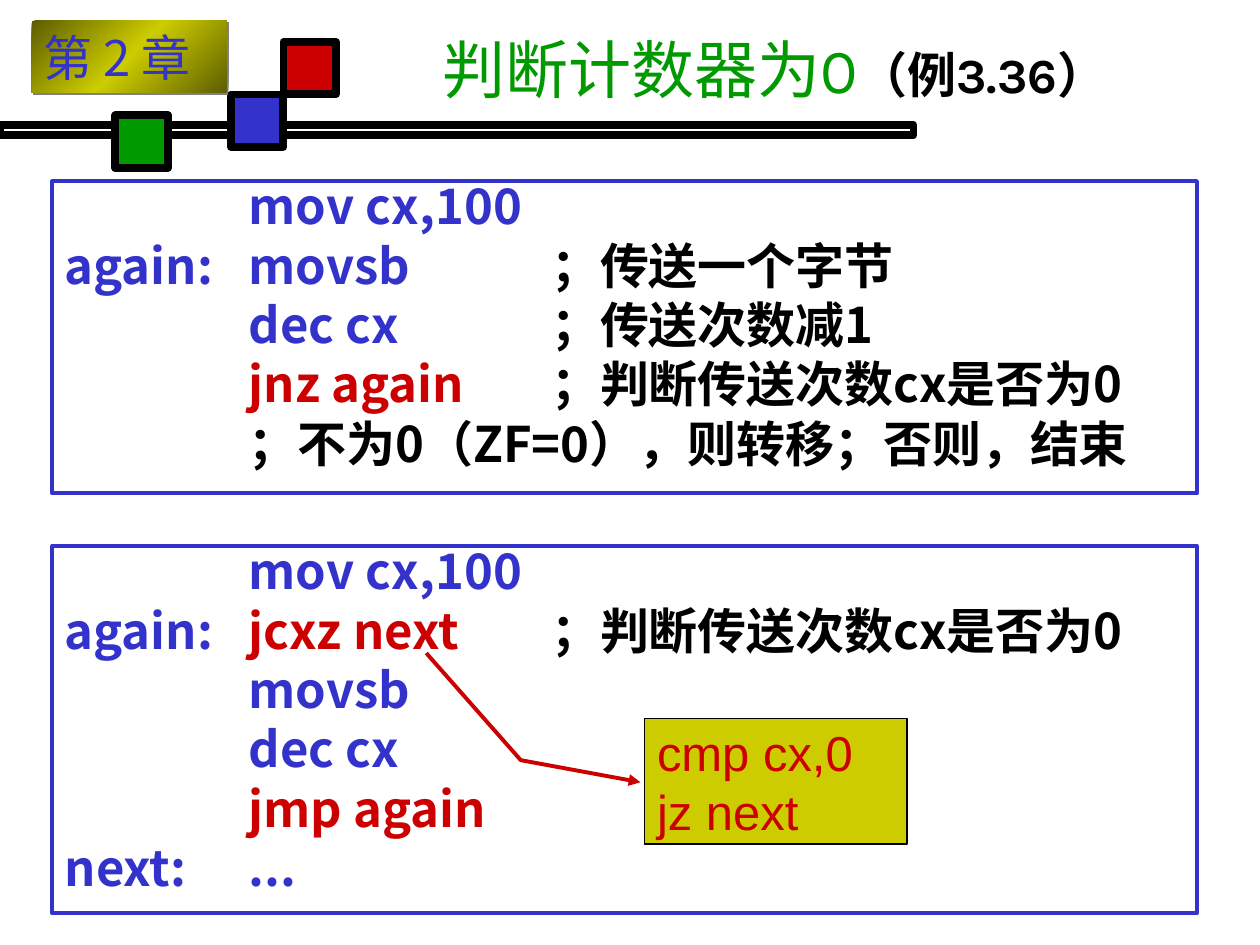
from lxml.etree import SubElement
from pptx import Presentation
from pptx.dml.color import RGBColor
from pptx.enum.shapes import MSO_SHAPE as Preset
from pptx.enum.text import MSO_ANCHOR as Anchor, PP_ALIGN as Align
from pptx.oxml import parse_xml
from pptx.oxml.ns import nsdecls, qn
from pptx.util import Inches, Pt

BLUE, RED, GREEN, YELLOW, BLACK = "3333CC", "CC0000", "009900", "CCCC00", "000000"
CODE_FONT = "Noto Sans CJK SC"
CODE_TABS = (1.46, 3.86)
CHECK_ZERO = ("；判断传送次数cx是否为0", BLACK)
LOOP_WITH_JNZ = [
    [("\tmov cx,100", BLUE)],
    [("again:\tmovsb\t", BLUE), ("；传送一个字节", BLACK)],
    [("\tdec cx\t", BLUE), ("；传送次数减1", BLACK)],
    [("\tjnz again\t", RED), CHECK_ZERO],
    [("\t；不为0（ZF=0），则转移；否则，结束", BLACK)],
]
LOOP_WITH_JCXZ = [
    [("\tmov cx,100", BLUE)],
    [("again:\t", BLUE), ("jcxz next\t", RED), CHECK_ZERO],
    [("\tmovsb", BLUE)],
    [("\tdec cx", BLUE)],
    [("\tjmp again", RED)],
    [("next:\t...", BLUE)],
]


def color(value):
    """Turn a hex string into a colour."""
    return RGBColor.from_string(value)


def add_run(paragraph, text, hue=BLACK, size=28, font=CODE_FONT, bold=False):
    """Add formatted text to a paragraph."""
    run = paragraph.add_run()
    run.text = text
    run.font.size, run.font.name, run.font.bold = Pt(size), font, bold
    run.font.color.rgb = color(hue)
    east_asian = CODE_FONT if font in ("Karla", "Arial") else font
    SubElement(run._r.get_or_add_rPr(), qn("a:ea"), typeface=east_asian)


def add_tabs(paragraph, stops):
    """Give a paragraph left tab stops, in inches."""
    tab_list = SubElement(paragraph._p.get_or_add_pPr(), qn("a:tabLst"))
    for stop in stops:
        SubElement(tab_list, qn("a:tab"), pos=str(Inches(stop)), algn="l")


class LessonSlide:
    """Hold the slide and its grid of 120 columns by 90 rows."""

    def __init__(self, presentation):
        """Add a blank slide and measure its grid cell."""
        self.slide = presentation.slides.add_slide(presentation.slide_layouts[6])
        self.cell = presentation.slide_width / 120

    def grid(self, *counts):
        """Turn columns or rows into lengths."""
        return [round(count * self.cell) for count in counts]

    def box(self, area, fill=None, line=None, weight=4.5):
        """Draw a rectangle."""
        shape = self.slide.shapes.add_shape(Preset.RECTANGLE, *self.grid(*area))
        shape.shadow.inherit = False
        if fill:
            shape.fill.solid()
            shape.fill.fore_color.rgb = color(fill)
        else:
            shape.fill.background()
        if line:
            shape.line.color.rgb = color(line)
            shape.line.width = Pt(weight)
        else:
            shape.line.fill.background()
        return shape

    def add_lines(self, shape, lines, anchor=Anchor.TOP, wrap=True, tabs=(),
                  spacing=None, before=None, align=Align.JUSTIFY, **style):
        """Fill a shape with lines made of (text, colour) pairs."""
        frame = shape.text_frame
        frame.word_wrap, frame.vertical_anchor = wrap, anchor
        for index, line in enumerate(lines):
            paragraph = frame.add_paragraph() if index else frame.paragraphs[0]
            paragraph.alignment = align
            paragraph.line_spacing, paragraph.space_before = spacing, before
            if tabs:
                add_tabs(paragraph, tabs)
            for text, hue in line:
                add_run(paragraph, text, hue, **style)

    def title(self, area, text, example):
        """Add the heading and its example number."""
        shape = self.slide.shapes.add_textbox(*self.grid(*area))
        self.add_lines(shape, [[(text, GREEN)]], Anchor.MIDDLE, size=36, font="Karla")
        add_run(shape.text_frame.paragraphs[0], example, font="Karla", bold=True)

    def code(self, area, lines):
        """Draw a framed program listing."""
        self.add_lines(self.box(area, line=BLUE, weight=2.25), lines, tabs=CODE_TABS,
                       spacing=0.8, before=Pt(7), bold=True)

    def badge(self, area, text):
        """Draw the chapter badge with a gradient and a shadow."""
        shape = self.box(area)
        properties = shape.element.spPr
        stops = "".join(
            f'<a:gs pos="{position}"><a:srgbClr val="{hue}"/></a:gs>'
            for position, hue in ((0, "5E5E00"), (50000, YELLOW), (100000, "5E5E00")))
        gradient = parse_xml(
            f'<a:gradFill {nsdecls("a")}><a:gsLst>{stops}</a:gsLst>'
            '<a:lin ang="13500000" scaled="0"/></a:gradFill>')
        properties.replace(properties.find(qn("a:noFill")), gradient)
        shadow = SubElement(properties.find(qn("a:effectLst")), qn("a:outerShdw"),
                            dist=str(Pt(1.4)), dir="2700000")
        SubElement(shadow, qn("a:srgbClr"), val="808080")
        self.add_lines(shape, [[(text, BLUE)]], wrap=False, align=Align.LEFT,
                       font="Noto Sans CJK JP")

    def arrow(self, points):
        """Draw a bent line with an arrowhead at its end."""
        start, *rest = [self.grid(*point) for point in points]
        builder = self.slide.shapes.build_freeform(*start)
        builder.add_line_segments(rest, close=False)
        shape = builder.convert_to_shape()
        shape.shadow.inherit = False
        shape.fill.background()
        shape.line.color.rgb = color(RED)
        shape.line.width = Pt(2.25)
        SubElement(shape.element.spPr.find(qn("a:ln")), qn("a:tailEnd"), type="triangle")


def main():
    """Build the slide and save it."""
    presentation = Presentation()
    presentation.slide_width, presentation.slide_height = Inches(10), Inches(7.5)
    lesson = LessonSlide(presentation)
    lesson.title((41, 1, 79, 11), "判断计数器为0", "（例3.36）")
    lesson.code((5, 17.25, 109, 29.75), LOOP_WITH_JNZ)
    lesson.box((0, 11.9, 87, 1), line=BLACK)
    for left, top, hue in ((22, 9, BLUE), (11, 11, GREEN), (27, 4, RED)):
        lesson.box((left, top, 5, 5), hue, BLACK)
    lesson.badge((3, 2, 18.6, 6.85), "第 2 章")
    lesson.code((5, 52, 109, 35), LOOP_WITH_JCXZ)
    equivalent = lesson.box((61.4, 68.4, 25, 12), YELLOW, BLACK, 0.75)
    lesson.add_lines(equivalent, [[("cmp cx,0", RED)], [("jz next", RED)]],
                     Anchor.MIDDLE, wrap=False, font="Arial")
    lesson.arrow([(40.6, 62.2), (49.6, 72.4), (61, 74.5)])
    presentation.save("out.pptx")


if __name__ == "__main__":
    main()
